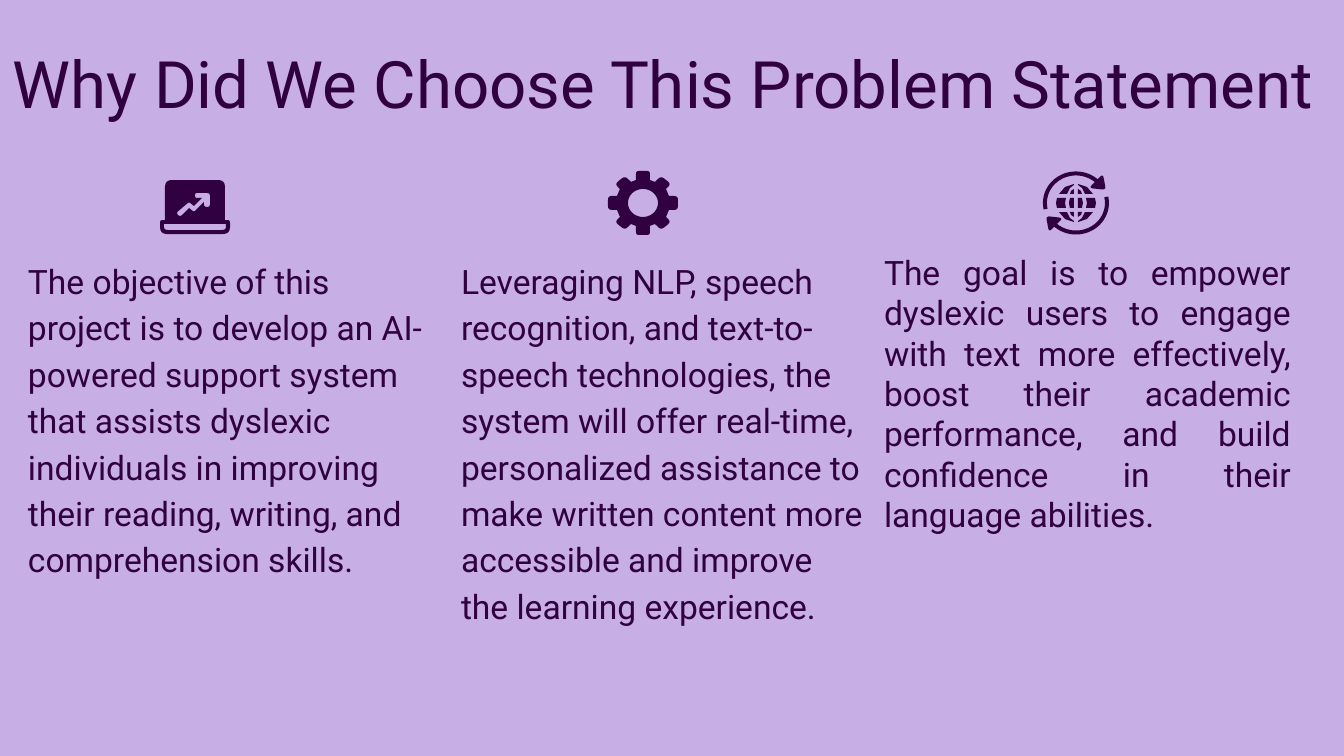
from math import cos, radians, sin

from pptx import Presentation
from pptx.dml.color import RGBColor
from pptx.enum.text import MSO_ANCHOR, PP_ALIGN
from pptx.util import Pt

SCALE = 914400 / 134.4
COLORS = {"background": "C7AEE4", "ink": "310041"}
INSET = 13


def px(length):
    return round(length * SCALE)


def arc(radius_x, radius_y, start, end, steps=40):
    angles = [radians(start + (end - start) * i / steps) for i in range(steps + 1)]
    return [(radius_x * cos(angle), radius_y * sin(angle)) for angle in angles]


def rounded(corners):
    points = []
    for index, (x, y, radius) in enumerate(corners):
        if not radius:
            points.append((x, y))
            continue
        ends = []
        for nx, ny, _ in (corners[index - 1], corners[(index + 1) % len(corners)]):
            distance = ((nx - x) ** 2 + (ny - y) ** 2) ** 0.5
            share = min(radius / distance, 0.5)
            ends.append((x + (nx - x) * share, y + (ny - y) * share))
        (ax, ay), (bx, by) = ends
        for t in (0, 0.25, 0.5, 0.75, 1):
            a, b, c = (1 - t) ** 2, 2 * t * (1 - t), t * t
            points.append((a * ax + b * x + c * bx, a * ay + b * y + c * by))
    return points


def flip(points, sign_x, sign_y):
    return [(sign_x * x, sign_y * y, *rest) for x, y, *rest in points]


class Deck:
    font = "Roboto"

    def __init__(self, width, height):
        self.presentation = Presentation()
        self.presentation.slide_width = px(width)
        self.presentation.slide_height = px(height)

    def add_slide(self):
        self.slide = self.presentation.slides.add_slide(self.presentation.slide_layouts[6])
        fill = self.slide.background.fill
        fill.solid()
        fill.fore_color.rgb = RGBColor.from_string(COLORS["background"])

    def text(self, content, box, size, align=PP_ALIGN.LEFT, line_spacing=None, gap=0):
        shape = self.slide.shapes.add_textbox(*map(px, box))
        frame = shape.text_frame
        frame.word_wrap = True
        frame.vertical_anchor = MSO_ANCHOR.TOP
        frame.margin_left = frame.margin_right = px(INSET)
        frame.margin_top = frame.margin_bottom = px(INSET)
        paragraph = frame.paragraphs[0]
        paragraph.alignment = align
        paragraph.line_spacing = line_spacing
        paragraph.space_before = paragraph.space_after = Pt(gap)
        run = paragraph.add_run()
        run.text = content
        run.font.name = self.font
        run.font.size = Pt(size)
        run.font.color.rgb = RGBColor.from_string(COLORS["ink"])

    def outline(self, contours, center=(0, 0), shapes=None):
        shapes = self.slide.shapes if shapes is None else shapes
        placed = [[(px(center[0] + x), px(center[1] + y)) for x, y in contour]
                  for contour in contours]
        builder = shapes.build_freeform(*placed[0][0], scale=1.0)
        for index, contour in enumerate(placed):
            if index:
                builder.move_to(*contour[0])
            builder.add_line_segments(contour[1:], close=True)
        shape = builder.convert_to_shape()
        shape.shadow.inherit = False
        shape.fill.solid()
        shape.fill.fore_color.rgb = RGBColor.from_string(COLORS["ink"])
        shape.line.fill.background()

    def laptop(self):
        body = [(165, 180, 7), (225, 180, 7), (225, 220, 0), (230, 220, 3),
                (230, 234, 7), (160, 234, 7), (160, 220, 3), (165, 220, 0)]
        slot = [(164, 224, 0), (226, 224, 0), (226, 230, 4), (164, 230, 4)]
        arrow = [(195, 193, 2), (210, 193, 3), (210, 207, 3), (204, 207, 3),
                 (204, 202, 0), (194, 212, 2), (189, 208, 0), (180, 217, 3),
                 (176, 213, 3), (189, 202, 2), (194, 206, 0), (202, 198, 0),
                 (195, 198, 2)]
        self.outline([rounded(part) for part in (body, slot, arrow)])

    def gear(self, center):
        quarter = [(7, -32, 3), (7, -23, 0), (12, -21, 0), (18, -27, 4),
                   (28, -19, 4), (23, -14, 0), (26, -7, 0), (35, -7, 4)]
        half = quarter + flip(quarter, 1, -1)[::-1]
        teeth = half + flip(half, -1, 1)[::-1]
        self.outline([rounded(teeth), arc(15, 14, 0, 360)], center)

    def globe(self, center):
        shapes = self.slide.shapes.add_group_shape().shapes
        head = rounded([(22, -24, 0), (27, -29, 4), (30, -13, 4), (13, -15, 4),
                        (19, -21, 0)])
        orbit = arc(33, 31.5, 168, 311) + head + arc(29, 27.5, 311, 168)
        for sign in (1, -1):
            self.outline([flip(orbit, sign, sign)], center, shapes)
        middle = [[(2, -5), (6, -5), (7, 0), (6, 5), (2, 5)],
                  [(10, -5), (11, 0), (10, 5), (19, 5), (20, 0), (19, -5)]]
        upper = [[(2, -14), (5, -12), (6, -9), (2, -9)],
                 [(2, -19), (11, -16), (17, -9), (9, -9), (6, -15), (2, -18)]]
        for sign_x in (1, -1):
            for part in middle:
                self.outline([flip(part, sign_x, 1)], center, shapes)
            for sign_y in (1, -1):
                for part in upper:
                    self.outline([flip(part, sign_x, sign_y)], center, shapes)


def main():
    deck = Deck(1344, 756)
    deck.add_slide()
    deck.text("Why Did We Choose This Problem Statement", (0, 30, 1344, 85), 35)
    loose = {"line_spacing": 1.15, "gap": 12}
    columns = [
        (15, 242, "The objective of this project is to develop an AI-powered support "
         "system that assists dyslexic individuals in improving their reading, "
         "writing, and comprehension skills.", loose),
        (448, 242, "Leveraging NLP, speech recognition, and text-to-speech "
         "technologies, the system will offer real-time, personalized assistance to "
         "make written content more accessible and improve the learning experience.",
         loose),
        (871, 239, "The goal is to empower dyslexic users to engage with text more "
         "effectively, boost their academic performance, and build confidence in "
         "their language abilities.", {"align": PP_ALIGN.JUSTIFY}),
    ]
    for left, top, content, style in columns:
        deck.text(content, (left, top, 433, 383), 18, **style)
    deck.laptop()
    deck.gear((643, 203))
    deck.globe((1076, 203))
    deck.presentation.save("out.pptx")


if __name__ == "__main__":
    main()
